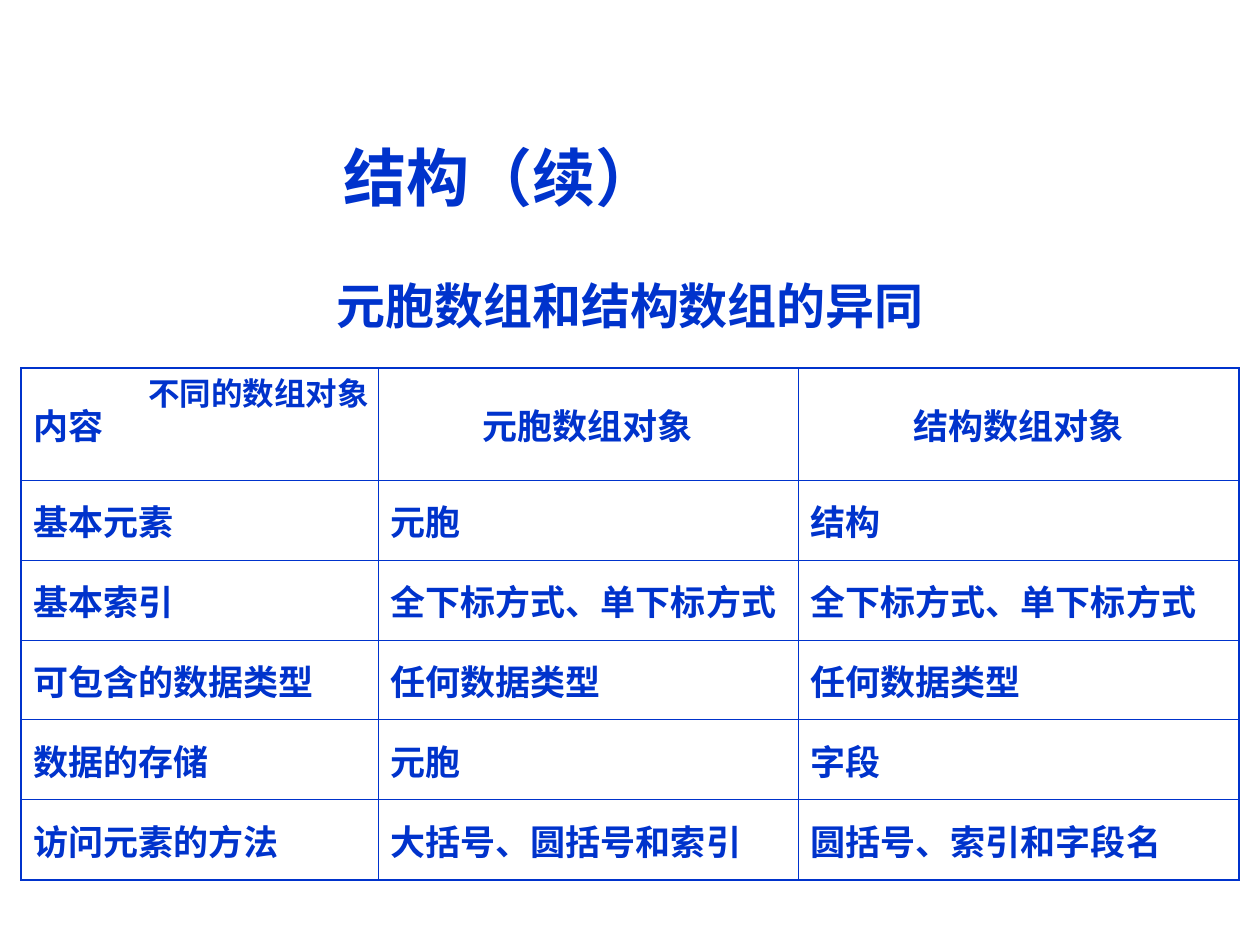
from dataclasses import dataclass

from lxml.etree import SubElement
from pptx import Presentation
from pptx.dml.color import RGBColor
from pptx.enum.text import MSO_ANCHOR, MSO_AUTO_SIZE, PP_ALIGN
from pptx.oxml.ns import qn
from pptx.util import Emu, Pt

SCALE = 914400 / 126  # EMU per px
BLUE = "0033CC"
SANS = "Noto Sans CJK SC"
THIN, THICK = 0.45, 1.08  # border widths in points


@dataclass
class Box:
    left: int
    top: int
    width: int
    height: int

    def emu(self) -> list[Emu]:
        return [px(n) for n in (self.left, self.top, self.width, self.height)]


@dataclass
class Row:
    height: int
    cells: tuple[str, str, str]


def px(n: int) -> Emu:
    return Emu(round(n * SCALE))


def color(code: str) -> RGBColor:
    return RGBColor.from_string(code)


def write(frame, text: str, *, size: int, font: str = "Arial",
          align=PP_ALIGN.LEFT, anchor=MSO_ANCHOR.TOP, space: float = 1.0) -> None:
    """Fill a text frame with one bold blue paragraph."""
    frame.word_wrap = True
    frame.vertical_anchor = anchor
    para = frame.paragraphs[0]
    para.alignment = align
    para.line_spacing = space
    para.space_before = Pt(0)
    run = para.add_run()
    run.text = text
    run.font.name = font
    run.font.size = Pt(size)
    run.font.bold = True
    run.font.color.rgb = color(BLUE)
    SubElement(run.font._element, qn("a:ea"), typeface=SANS)


def label(slide, box: Box, text: str, **style):
    """Add a text box and return its frame."""
    frame = slide.shapes.add_textbox(*box.emu()).text_frame
    write(frame, text, **style)
    return frame


def border(cell, widths: dict[str, float]) -> None:
    """Draw the cell edges, which must come before the cell fill."""
    props = cell._tc.get_or_add_tcPr()
    for i, (side, width) in enumerate(widths.items()):
        line = SubElement(props, qn(f"a:ln{side}"), w=str(Pt(width)))
        fill = SubElement(line, qn("a:solidFill"))
        SubElement(fill, qn("a:srgbClr"), val=BLUE)
        props.insert(i, line)


def grid(slide, left: int, top: int, cols: list[int], rows: list[Row]) -> None:
    """Add the table with thick outer and thin inner borders."""
    box = Box(left, top, sum(cols), sum(row.height for row in rows))
    table = slide.shapes.add_table(len(rows), len(cols), *box.emu()).table
    table.first_row = table.horz_banding = False
    for col, width in zip(table.columns, cols):
        col.width = px(width)
    for r, row in enumerate(rows):
        table.rows[r].height = px(row.height)
        for c, text in enumerate(row.cells):
            cell = table.cell(r, c)
            cell.fill.background()
            cell.vertical_anchor = MSO_ANCHOR.MIDDLE
            head = r == 0 and c > 0
            write(cell.text_frame, text, size=20,
                  align=PP_ALIGN.CENTER if head else PP_ALIGN.LEFT)
            outer = {"L": c == 0, "R": c == len(cols) - 1,
                     "T": r == 0, "B": r == len(rows) - 1}
            border(cell, {side: THICK if out else THIN
                          for side, out in outer.items()})


ROWS = [
    Row(112, ("内容", "元胞数组对象", "结构数组对象")),
    Row(80, ("基本元素", "元胞", "结构")),
    Row(80, ("基本索引", "全下标方式、单下标方式", "全下标方式、单下标方式")),
    Row(80, ("可包含的数据类型", "任何数据类型", "任何数据类型")),
    Row(80, ("数据的存储", "元胞", "字段")),
    Row(80, ("访问元素的方法", "大括号、圆括号和索引", "圆括号、索引和字段名")),
]


def main() -> None:
    deck = Presentation()
    deck.slide_width, deck.slide_height = px(1260), px(945)
    slide = deck.slides.add_slide(deck.slide_layouts[5])

    # Title
    title = slide.shapes.title
    title.left, title.top, title.width, title.height = Box(64, 102, 874, 149).emu()
    write(title.text_frame, "结构（续）", size=36, font=SANS,
          align=PP_ALIGN.CENTER, anchor=MSO_ANCHOR.MIDDLE)

    # Table heading
    label(slide, Box(84, 252, 1092, 91), "元胞数组和结构数组的异同",
          size=28, align=PP_ALIGN.CENTER, space=1.3)

    # Comparison table and the second label of its corner cell
    grid(slide, 21, 368, [357, 420, 441], ROWS)
    corner = label(slide, Box(136, 368, 294, 50), "不同的数组对象",
                   size=18, font="Roboto")
    corner.auto_size = MSO_AUTO_SIZE.SHAPE_TO_FIT_TEXT

    deck.save("out.pptx")


if __name__ == "__main__":
    main()
